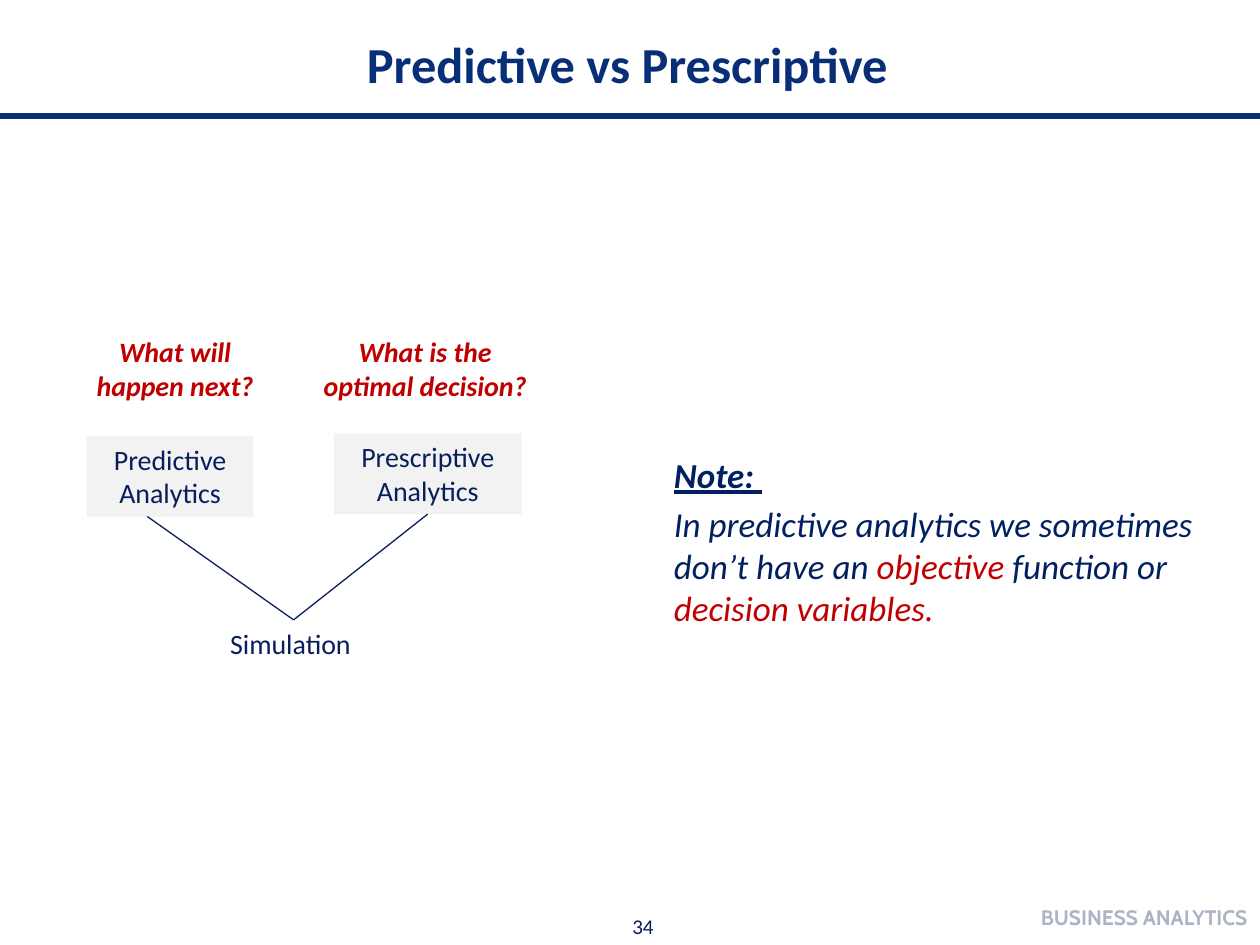
import pptx
import pptx.util
import pptx.dml.color
import pptx.enum.shapes
import pptx.enum.text
import pptx.oxml.ns
from lxml import etree

Inches = pptx.util.Inches
Pt = pptx.util.Pt
ALIGN = pptx.enum.text.PP_ALIGN
ANCHOR = pptx.enum.text.MSO_ANCHOR

COLORS = {
    "title": "092E78",
    "text": "081F5B",
    "note": "002060",
    "accent": "C00000",
    "box": "F2F2F2",
    "footer": "06194C",
}


def rgb(name):
    return pptx.dml.color.RGBColor.from_string(COLORS[name])


def style(font, size, color, bold=False, italic=False, name="Calibri"):
    font.name, font.size = name, Pt(size)
    font.bold, font.italic = bold, italic
    font.color.rgb = rgb(color)


def place(shape, left, top, width, height):
    shape.left, shape.top = Inches(left), Inches(top)
    shape.width, shape.height = Inches(width), Inches(height)


def write(shape, text, size, color, align=ALIGN.CENTER, anchor=ANCHOR.TOP, **look):
    frame = shape.text_frame
    frame.text = text
    frame.word_wrap = True
    frame.vertical_anchor = anchor
    paragraph = frame.paragraphs[0]
    paragraph.alignment = align
    style(paragraph.runs[0].font, size, color, **look)
    return paragraph.runs[0]


def add_label(slide, text, at, size=16, color="text", **look):
    label = slide.shapes.add_textbox(*map(Inches, at))
    write(label, text, size, color, **look)
    return label


def add_box(slide, text, at):
    box = slide.shapes.add_shape(
        pptx.enum.shapes.MSO_SHAPE.RECTANGLE, *map(Inches, at))
    box.shadow.inherit = False
    box.fill.solid()
    box.fill.fore_color.rgb = rgb("box")
    box.line.fill.background()
    write(box, text, 16, "text")
    return box


def add_line(slide, start, end, color, width):
    line = slide.shapes.add_connector(
        pptx.enum.shapes.MSO_CONNECTOR.STRAIGHT, *map(Inches, start + end))
    line.line.color.rgb = rgb(color)
    line.line.width = Pt(width)
    etree.SubElement(line._element.spPr, pptx.oxml.ns.qn("a:effectLst"))
    return line


def add_note(slide):
    note = slide.shapes.add_textbox(
        Inches(5.25), Inches(3.55), Inches(4.75), Inches(2.73))
    heading = write(note, "Note: ", 20, "note", align=ALIGN.LEFT,
                    bold=True, italic=True)
    heading.font.underline = True
    body = note.text_frame.add_paragraph()
    body.space_before = Pt(4)
    for text, color in (
        ("In predictive analytics we sometimes don’t have an ", "note"),
        ("objective ", "accent"),
        ("function or ", "note"),
        ("decision variables.", "accent"),
    ):
        run = body.add_run()
        run.text = text
        style(run.font, 20, color, italic=True)


def add_footer(slide):
    course = slide.shapes.add_textbox(
        Inches(6.67), Inches(7.08), Inches(3.33), Inches(0.4))
    run = write(course, "BUSINESS ANALYTICS", 12, "footer", align=ALIGN.RIGHT,
                anchor=ANCHOR.MIDDLE, bold=True, name="Cabin")
    # Fade the course name to 33 % opacity
    tint = run._r.find(".//" + pptx.oxml.ns.qn("a:srgbClr"))
    etree.SubElement(tint, pptx.oxml.ns.qn("a:alpha"), val="33000")
    add_label(slide, "34", (4.92, 7.2, 2.08, 0.3), size=12, align=ALIGN.LEFT)


def main():
    deck = pptx.Presentation()
    deck.slide_width, deck.slide_height = Inches(10), Inches(7.5)
    slide = deck.slides.add_slide(deck.slide_layouts[5])

    # Title and rule
    title = slide.shapes.title
    place(title, 0.67, 0.33, 8.62, 0.35)
    write(title, "Predictive vs Prescriptive", 28.8, "title",
          anchor=ANCHOR.MIDDLE, bold=True)
    add_line(slide, (0, 0.92), (10, 0.92), "title", 3)

    # Questions above the two kinds of analytics
    for question, at in (
        ("What will happen next?", (0.58, 2.61, 1.62, 0.64)),
        ("What is the optimal decision?", (2.42, 2.61, 1.91, 0.64)),
    ):
        add_label(slide, question, at, color="accent", bold=True, italic=True)

    # Both kinds lead to simulation
    add_box(slide, "Predictive Analytics", (0.69, 3.46, 1.32, 0.64))
    prescriptive = add_box(slide, "Prescriptive Analytics", (2.65, 3.44, 1.49, 0.64))
    simulation = add_label(slide, "Simulation ", (1.17, 4.92, 2.32, 0.37))
    meeting = (2.33, 4.92)
    from_predictive = add_line(slide, (1.17, 4.1), meeting, "text", 0.75)
    from_prescriptive = add_line(slide, (3.39, 4.08), meeting, "text", 0.75)
    from_prescriptive.begin_connect(prescriptive, 2)
    for branch in (from_predictive, from_prescriptive):
        branch.end_connect(simulation, 0)

    add_note(slide)
    add_footer(slide)
    deck.save("out.pptx")


if __name__ == "__main__":
    main()
